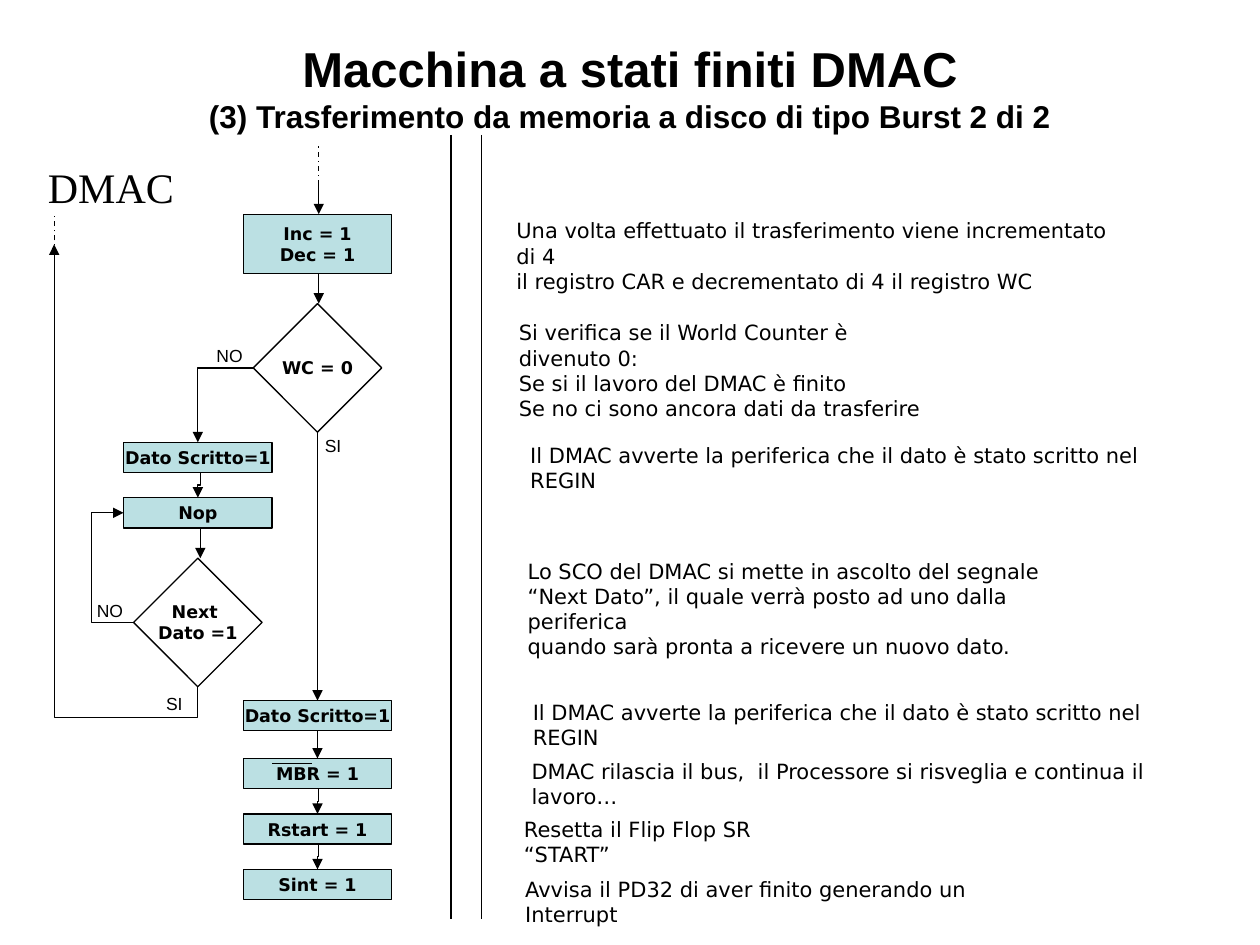
"""Build the slide on the DMAC state machine for burst transfers, part 2 of 2."""
from dataclasses import dataclass

from lxml import etree
from pptx import Presentation
from pptx import util as u
from pptx.dml import color
from pptx.enum import dml, shapes, text
from pptx.oxml import ns

CELL = 0.1
COLOURS = {"ink": "000000", "state": "BBE0E3", "test": "FFFFFF"}
RECT, DIAMOND = shapes.MSO_SHAPE.RECTANGLE, shapes.MSO_SHAPE.DIAMOND
LEFT, CENTER = text.PP_ALIGN.LEFT, text.PP_ALIGN.CENTER
STYLES = {
    "title": {"name": "Arial", "size": u.Pt(28), "bold": True},
    "subtitle": {"name": "Arial", "size": u.Pt(18), "bold": True},
    "heading": {"name": "Times New Roman", "size": u.Pt(24), "bold": False},
    "branch": {"name": "Arial", "size": u.Pt(10), "bold": False},
    "node": {"name": "DejaVu Sans", "size": u.Pt(10), "bold": True},
    "note": {"name": "DejaVu Sans", "size": u.Pt(12), "bold": False},
}
MAIN, LOOP = 19.3, 9.8
STATE_WIDTH, STATE_HEIGHT, TEST_SIZE = 11.8, 2.4, 10.2


@dataclass
class Node:
    """A state or a test, placed by column and row."""
    column: float
    row: float
    label: str
    shape: shapes.MSO_SHAPE = RECT
    width: float = STATE_WIDTH
    height: float = STATE_HEIGHT


@dataclass
class Caption:
    """Free text, placed by column and row."""
    column: float
    row: float
    width: float
    height: float
    words: str
    style: str = "note"
    align: text.PP_ALIGN = LEFT
    wrap: bool = True


@dataclass
class Line:
    """A straight line between two grid points."""
    start: tuple[float, float]
    end: tuple[float, float]
    arrow: bool = True
    dashed: bool = False


@dataclass
class Elbow:
    """A bent arrow between two grid points, with its turn in degrees."""
    start: tuple[float, float]
    end: tuple[float, float]
    turn: int
    flip: bool = False
    preset: str = "bentConnector3"
    bend: float | None = 0.5


NODES = [
    Node(MAIN, 17, "Inc = 1\nDec = 1", height=4.7),
    Node(20.1, 24.1, "WC = 0", DIAMOND, TEST_SIZE, TEST_SIZE),
    Node(LOOP, 35.1, "Dato Scritto=1"),
    Node(LOOP, 39.5, "Nop"),
    Node(10.6, 44.3, "Next \nDato =1", DIAMOND, TEST_SIZE, TEST_SIZE),
    Node(MAIN, 55.6, "Dato Scritto=1"),
    Node(MAIN, 60.2, "MBR = 1"),
    Node(MAIN, 64.6, "Rstart = 1"),
    Node(MAIN, 69, "Sint = 1"),
]
LINES = [
    Line((35.8, 10.7), (35.8, 72.9), arrow=False),
    Line((38.2, 10.7), (38.2, 72.9), arrow=False),
    Line((25.3, 14.7), (25.3, 11.5), arrow=False, dashed=True),
    Line((4.3, 20.2), (4.3, 17), arrow=False, dashed=True),
    Line((25.3, 14.7), (25.3, 17)),
    Line((25.3, 21.7), (25.3, 24.1)),
    Line((15.9, 41.9), (15.9, 44.3)),
    Line((25.2, 34.3), (25.2, 55.6)),
    Line((25.2, 58), (25.2, 60.2)),
]
ELBOWS = [
    Elbow((20.1, 29.2), (15.7, 35.1), 180, True, "bentConnector2", None),
    Elbow((15.9, 37.5), (15.7, 39.5), 90),
    Elbow((10.6, 49.4), (9.8, 40.7), 180, bend=4.2),
    Elbow((15.7, 54.5), (4.3, 19.4), 270, True, bend=-0.07),
    Elbow((25.3, 62.6), (25.2, 64.6), 90),
    Elbow((25.3, 67), (25.2, 69), 90),
]
OVERLINE = Line((21.6, 60.6), (24.8, 60.6), arrow=False)
WRITTEN = "Il DMAC avverte la periferica che il dato è stato scritto nel REGIN"
CAPTIONS = [
    Caption(2.8, 12.3, 12, 5, "DMAC", "heading", CENTER, False),
    *(Caption(column, row, 5, 2.7, words, "branch", LEFT, False)
      for column, row, words in [(24.8, 34, "SI"), (16.2, 26.9, "NO"),
                                 (6.7, 47.1, "NO"), (12.2, 54.5, "SI")]),
    Caption(40, 16.8, 49.1, 5, "Una volta effettuato il trasferimento viene incrementato di 4\n"
            "il registro CAR e decrementato di 4 il registro WC"),
    Caption(40.2, 24.9, 35.3, 7, "Si verifica se il World Counter è divenuto 0:\n"
            "Se si il lavoro del DMAC è finito\nSe no ci sono ancora dati da trasferire"),
    Caption(41.1, 34.6, 52.1, 3, WRITTEN),
    Caption(40.9, 43.8, 45.4, 7, "Lo SCO del DMAC si mette in ascolto del segnale\n"
            "“Next Dato”, il quale verrà posto ad uno dalla periferica\n"
            "quando sarà pronta a ricevere un nuovo dato."),
    Caption(41.3, 55, 52.1, 3, WRITTEN),
    Caption(41.2, 59.7, 53.8, 3,
            "DMAC rilascia il bus,  il Processore si risveglia e continua il lavoro…"),
    Caption(40.6, 64.3, 25.4, 3, "Resetta il Flip Flop SR “START”"),
    Caption(40.7, 69.1, 42.1, 3, "Avvisa il PD32 di aver finito generando un Interrupt"),
]


def cells(*counts: float) -> list[u.Length]:
    """Turn grid counts into lengths."""
    return [u.Inches(count * CELL) for count in counts]


def ink(name: str) -> color.RGBColor:
    """Look up a colour."""
    return color.RGBColor.from_string(COLOURS[name])


def style_font(font, style: str) -> None:
    """Apply a named text style."""
    for key, value in STYLES[style].items():
        setattr(font, key, value)
    font.color.rgb = ink("ink")


def write(frame, words: str, style: str, align: text.PP_ALIGN, wrap: bool) -> None:
    """Write one paragraph for each line of words."""
    frame.word_wrap = wrap
    frame.text = words
    for para in frame.paragraphs:
        para.alignment = align
        for span in para.runs:
            style_font(span.font, style)


def style_line(connector, arrow: bool, dashed: bool = False) -> None:
    """Give a connector its stroke and arrowhead, without a shadow."""
    connector.line.color.rgb, connector.line.width = ink("ink"), u.Pt(0.75)
    if dashed:
        connector.line.dash_style = dml.MSO_LINE.DASH_DOT
    if arrow:
        etree.SubElement(connector.line._get_or_add_ln(), ns.qn("a:tailEnd"), type="triangle")
    etree.SubElement(connector._element.spPr, ns.qn("a:effectLst"))


def draw_line(page, line: Line) -> None:
    """Draw a straight line."""
    connector = page.shapes.add_connector(
        shapes.MSO_CONNECTOR.STRAIGHT, *cells(*line.start, *line.end))
    style_line(connector, line.arrow, line.dashed)


def draw_elbow(page, elbow: Elbow) -> None:
    """Draw a bent arrow in a frame turned about the middle of its ends."""
    (x1, y1), (x2, y2) = elbow.start, elbow.end
    width, height = abs(x2 - x1), abs(y2 - y1)
    if elbow.turn % 180:
        width, height = height, width
    left, top = (x1 + x2 - width) / 2, (y1 + y2 - height) / 2
    connector = page.shapes.add_connector(
        shapes.MSO_CONNECTOR.ELBOW, *cells(left, top, left + width, top + height))
    properties = connector._element.spPr
    frame = properties.find(ns.qn("a:xfrm"))
    frame.set("rot", str(elbow.turn * 60000))
    if elbow.flip:
        frame.set("flipV", "1")
    geometry = properties.find(ns.qn("a:prstGeom"))
    geometry.set("prst", elbow.preset)
    if elbow.bend is not None:
        etree.SubElement(geometry.find(ns.qn("a:avLst")), ns.qn("a:gd"),
                         name="adj1", fmla=f"val {round(elbow.bend * 100000)}")
    style_line(connector, arrow=True)


def draw_node(page, node: Node) -> None:
    """Draw a state or a test with its label."""
    box = page.shapes.add_shape(
        node.shape, *cells(node.column, node.row, node.width, node.height))
    box.shadow.inherit = False
    box.fill.solid()
    box.fill.fore_color.rgb = ink("state" if node.shape == RECT else "test")
    box.line.color.rgb, box.line.width = ink("ink"), u.Pt(0.75)
    box.text_frame.vertical_anchor = text.MSO_ANCHOR.MIDDLE
    write(box.text_frame, node.label, "node", CENTER, False)


def draw_caption(page, caption: Caption) -> None:
    """Draw free text."""
    box = page.shapes.add_textbox(
        *cells(caption.column, caption.row, caption.width, caption.height))
    write(box.text_frame, caption.words, caption.style, caption.align, caption.wrap)


def draw_title(page) -> None:
    """Fill the title placeholder with a title and a smaller second line."""
    title = page.shapes.title
    title.left, title.top, title.width, title.height = cells(5, 3, 90, 7.7)
    frame = title.text_frame
    frame.auto_size, frame.vertical_anchor = text.MSO_AUTO_SIZE.NONE, text.MSO_ANCHOR.MIDDLE
    write(frame, "Macchina a stati finiti DMAC", "title", CENTER, True)
    para = frame.paragraphs[0]
    para.add_line_break()
    span = para.add_run()
    span.text = "(3) Trasferimento da memoria a disco di tipo Burst 2 di 2"
    style_font(span.font, "subtitle")


def main() -> None:
    """Build and save the deck."""
    deck = Presentation()
    deck.slide_width, deck.slide_height = cells(100, 75)
    page = deck.slides.add_slide(deck.slide_layouts[5])
    draw_title(page)
    for draw, items in [(draw_line, LINES), (draw_elbow, ELBOWS), (draw_node, NODES),
                        (draw_caption, CAPTIONS), (draw_line, [OVERLINE])]:
        for item in items:
            draw(page, item)
    deck.save("out.pptx")


if __name__ == "__main__":
    main()
